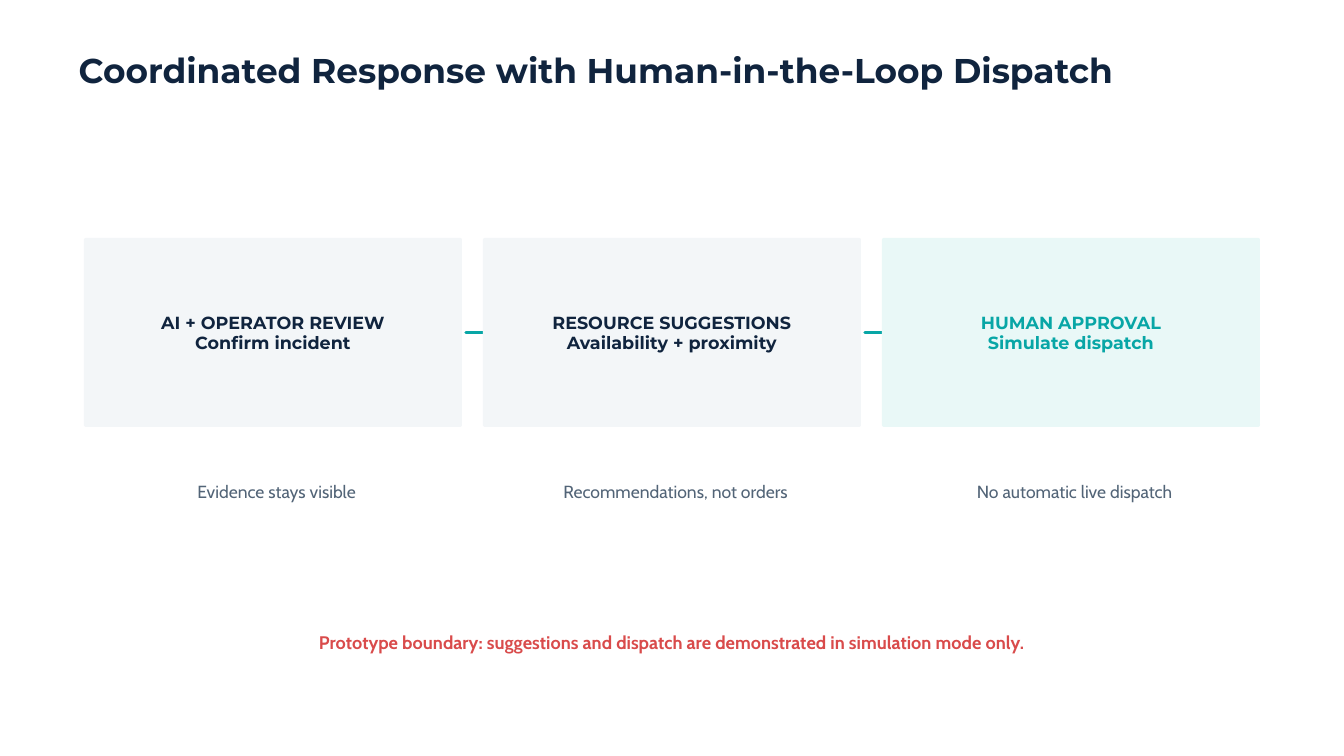
from lxml import etree
from pptx import Presentation
from pptx.dml.color import RGBColor
from pptx.enum.shapes import MSO_CONNECTOR, MSO_SHAPE
from pptx.enum.text import MSO_ANCHOR, MSO_AUTO_SIZE, PP_ALIGN
from pptx.oxml.ns import qn
from pptx.util import Inches, Pt

LEFT, CENTER = PP_ALIGN.LEFT, PP_ALIGN.CENTER
TOP, MIDDLE = MSO_ANCHOR.TOP, MSO_ANCHOR.MIDDLE
STRAIGHT = MSO_CONNECTOR.STRAIGHT
ROUNDED = MSO_SHAPE.ROUNDED_RECTANGLE
NO_FIT = MSO_AUTO_SIZE.NONE

WHITE = RGBColor(0xFF, 0xFF, 0xFF)
NAVY = RGBColor(0x10, 0x24, 0x3E)
SLATE = RGBColor(0x52, 0x64, 0x77)
TEAL = RGBColor(0x08, 0xA6, 0xA6)
RED = RGBColor(0xD9, 0x4B, 0x4B)
PALE_GREY = RGBColor(0xF3, 0xF6, 0xF8)
PALE_TEAL = RGBColor(0xE9, 0xF8, 0xF7)

# Slide and three-column grid, in inches
WIDTH, HEIGHT = 20, 11.25
MARGIN = WIDTH / 16
GAP = WIDTH / 64
COLUMN = (WIDTH - 2 * MARGIN - 2 * GAP) / 3
STEP_TOP, STEP_HEIGHT = 3.54, 3.9
CARD_HEIGHT = COLUMN / 2

TITLE_FONT = dict(name="Montserrat", size=Pt(36.8), bold=True)
CARD_FONT = dict(name="Montserrat", size=Pt(18.8), bold=True)
CAPTION_FONT = dict(name="Cabin", size=Pt(18.8), bold=False)
NOTE_FONT = dict(name="Cabin", size=Pt(19.5), bold=True)

STEPS = [
    (("AI + OPERATOR REVIEW", "Confirm incident"),
     "Evidence stays visible", PALE_GREY, NAVY),
    (("RESOURCE SUGGESTIONS", "Availability + proximity"),
     "Recommendations, not orders", PALE_GREY, NAVY),
    (("HUMAN APPROVAL", "Simulate dispatch"),
     "No automatic live dispatch", PALE_TEAL, TEAL),
]


def inches(*lengths):
    return [Inches(length) for length in lengths]


def write(shape, lines, font, color, spacing, align=CENTER, anchor=TOP,
          margins=(0, 0, 0, 0)):
    """Fill a shape with one formatted paragraph per line."""
    frame = shape.text_frame
    left, top, right, bottom = inches(*margins)
    settings = dict(word_wrap=True, auto_size=NO_FIT, vertical_anchor=anchor,
                    margin_left=left, margin_top=top,
                    margin_right=right, margin_bottom=bottom)
    for name, value in settings.items():
        setattr(frame, name, value)
    frame.text = "\n".join(lines)
    for para in frame.paragraphs:
        para.alignment = align
        para.line_spacing = Pt(spacing)
        for span in para.runs:
            for name, value in font.items():
                setattr(span.font, name, value)
            span.font.color.rgb = color


def add_title(page, box, text):
    title = page.shapes.title
    title.left, title.top, title.width, title.height = inches(*box)
    write(title, [text], TITLE_FONT, NAVY, 39.7, align=LEFT)


def add_text(page, box, text, font, color, spacing):
    write(page.shapes.add_textbox(*inches(*box)), [text], font, color, spacing)


def add_step(page, box, lines, caption, fill, color):
    """Place a card with its caption below."""
    left, top, width, height = box
    card = page.shapes.add_shape(
        ROUNDED, *inches(left, top, width, CARD_HEIGHT))
    card.adjustments[0] = 0.01
    card.shadow.inherit = False
    card.fill.solid()
    card.fill.fore_color.rgb = fill
    card.line.fill.background()
    write(card, lines, CARD_FONT, color, 20.6, anchor=MIDDLE,
          margins=(0.06, 0.09, 0.06, 0.06))
    caption_height = 0.34
    caption_box = (left + 0.26, top + height - caption_height,
                   width - 0.41, caption_height)
    add_text(page, caption_box, caption, CAPTION_FONT, SLATE, 26.2)


def add_link(page, start, y):
    """Draw a round-ended dash that runs under the next card."""
    link = page.shapes.add_connector(
        STRAIGHT, *inches(start, y, start + 0.41, y))
    link.line.color.rgb = TEAL
    link.line.width = Pt(3.75)
    link.line._get_or_add_ln().set("cap", "rnd")
    etree.SubElement(link._element.spPr, qn("a:effectLst"))


def add_process(page, box):
    """Lay the steps out in equal columns, linked left to right."""
    left, top, _, height = box
    for index, step in enumerate(STEPS):
        x = left + index * (COLUMN + GAP)
        add_step(page, (x, top, COLUMN, height), *step)
        if index < len(STEPS) - 1:
            add_link(page, x + COLUMN + 0.06, top + CARD_HEIGHT / 2)


def main():
    deck = Presentation()
    deck.slide_width, deck.slide_height = inches(WIDTH, HEIGHT)
    page = deck.slides.add_slide(deck.slide_layouts[5])
    page.background.fill.solid()
    page.background.fill.fore_color.rgb = WHITE

    add_title(page, (1.17, 0.8, 15.62, 0.55),
              "Coordinated Response with Human-in-the-Loop Dispatch")
    add_process(page, (MARGIN, STEP_TOP, WIDTH - 2 * MARGIN, STEP_HEIGHT))
    # Boundary note, centred on the slide
    note_width = 12.08
    add_text(page, ((WIDTH - note_width) / 2, 9.34, note_width, 0.35),
             "Prototype boundary: suggestions and dispatch are demonstrated "
             "in simulation mode only.", NOTE_FONT, RED, 27.3)
    deck.save("out.pptx")


if __name__ == "__main__":
    main()
